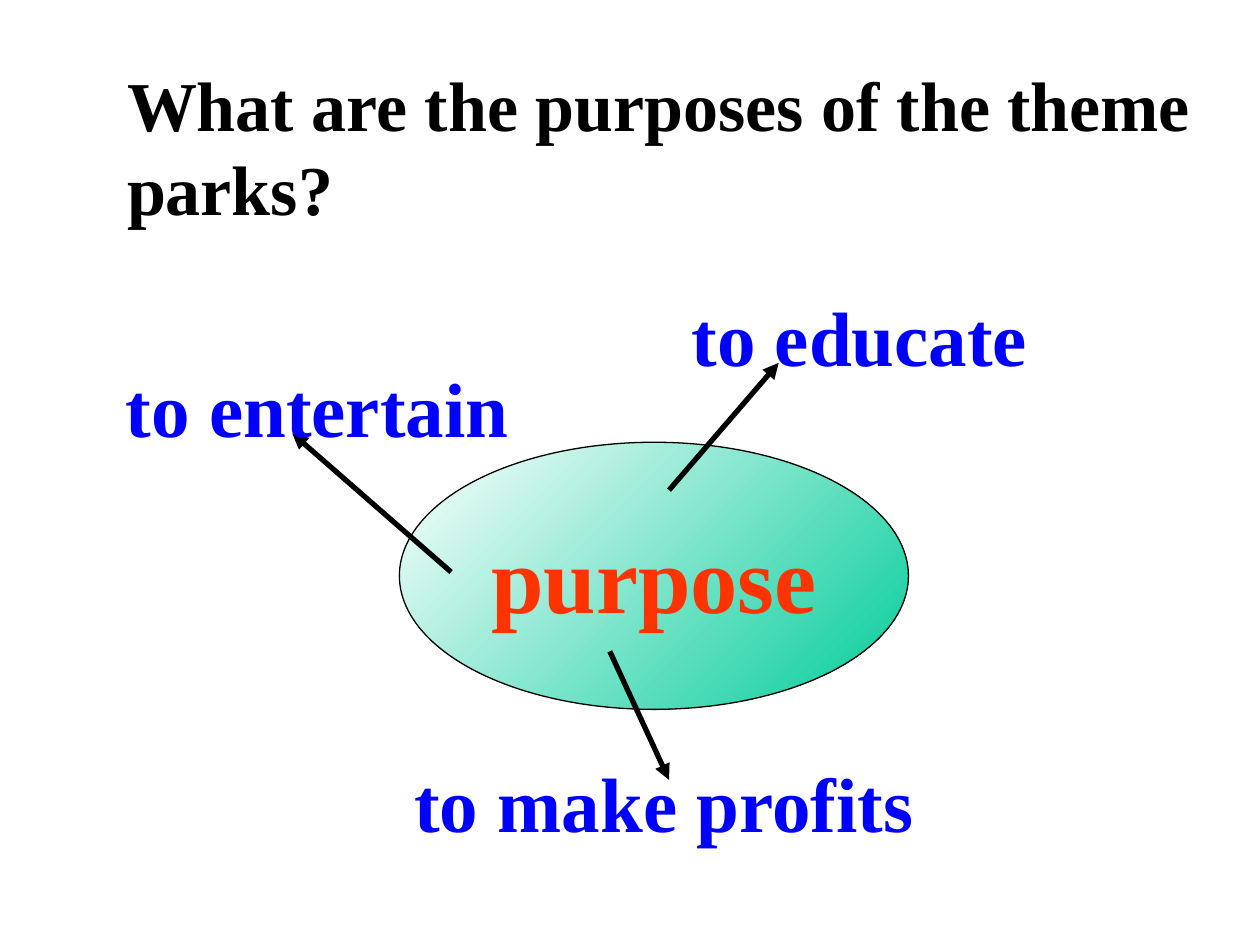
"""Build a slide showing the purposes of theme parks around a central ellipse."""
from pptx import Presentation
from pptx.dml.color import RGBColor
from pptx.enum.shapes import MSO_CONNECTOR as Connector, MSO_SHAPE as Shape
from pptx.enum.text import MSO_ANCHOR as Anchor, MSO_AUTO_SIZE as AutoSize, PP_ALIGN as Align
from pptx.oxml.ns import qn
from pptx.util import Inches, Pt
from lxml.etree import SubElement

FONT = "Times New Roman"
BLACK, BLUE, RED = "000000", "0000FF", "FF3300"
GRADIENT = ["FFFFFF", "00CC99"]

HUB = ("purpose", (3.17, 3.51, 4.04, 2.12))
LABELS = [
    ("What are the purposes of the theme parks?", (0.91, 0.44, 9.29, 1.45), 40, BLACK),
    ("to entertain", (0.9, 2.81, 4.02, 0.83), 44, BLUE),
    ("to make profits", (3.19, 5.95, 5.2, 0.83), 44, BLUE),
    ("to educate", (5.39, 2.25, 3.5, 0.83), 44, BLUE),
]
ARROWS = [
    (5.31, 3.89, 6.18, 2.88),
    (3.58, 4.54, 2.32, 3.44),
    (4.84, 5.17, 5.31, 6.19),
]


def rgb(value):
    """Turn a hex string into a colour."""
    return RGBColor.from_string(value)


def inches(values):
    """Turn plain numbers into lengths."""
    return [Inches(value) for value in values]


def write(shape, text, size, color, align=Align.LEFT):
    """Put one bold line of text into a shape."""
    paragraph = shape.text_frame.paragraphs[0]
    paragraph.text = text
    paragraph.alignment = align
    font_format = {"name": FONT, "size": Pt(size), "bold": True}
    for name, value in font_format.items():
        setattr(paragraph.runs[0].font, name, value)
    paragraph.runs[0].font.color.rgb = rgb(color)


def set_line(line, width):
    """Give a line its colour and width."""
    line.color.rgb = rgb(BLACK)
    line.width = Pt(width)


def add_hub(slide, text, box):
    """Add the gradient ellipse."""
    ellipse = slide.shapes.add_shape(Shape.OVAL, *inches(box))
    ellipse.shadow.inherit = False
    ellipse.fill.gradient()
    ellipse.fill.gradient_angle = 315
    for stop, color in zip(ellipse.fill.gradient_stops, GRADIENT):
        stop.color.rgb = rgb(color)
    set_line(ellipse.line, 0.75)
    ellipse.text_frame.word_wrap = False
    ellipse.text_frame.vertical_anchor = Anchor.MIDDLE
    write(ellipse, text, 54, RED, Align.CENTER)


def add_arrow(slide, ends):
    """Add a straight arrow."""
    arrow = slide.shapes.add_connector(Connector.STRAIGHT, *inches(ends))
    set_line(arrow.line, 3)
    SubElement(arrow.line._get_or_add_ln(), qn("a:tailEnd"), type="triangle")
    SubElement(arrow._element.spPr, qn("a:effectLst"))


def add_label(slide, text, box, size, color):
    """Add a wrapping text box."""
    label = slide.shapes.add_textbox(*inches(box))
    label.text_frame.word_wrap = True
    label.text_frame.auto_size = AutoSize.SHAPE_TO_FIT_TEXT
    write(label, text, size, color)


def main():
    """Build and save the slide."""
    presentation = Presentation()
    presentation.slide_width, presentation.slide_height = inches((10, 7.5))
    slide = presentation.slides.add_slide(presentation.slide_layouts[6])
    add_hub(slide, *HUB)
    for ends in ARROWS:
        add_arrow(slide, ends)
    for label in LABELS:
        add_label(slide, *label)
    presentation.save("out.pptx")


if __name__ == "__main__":
    main()
